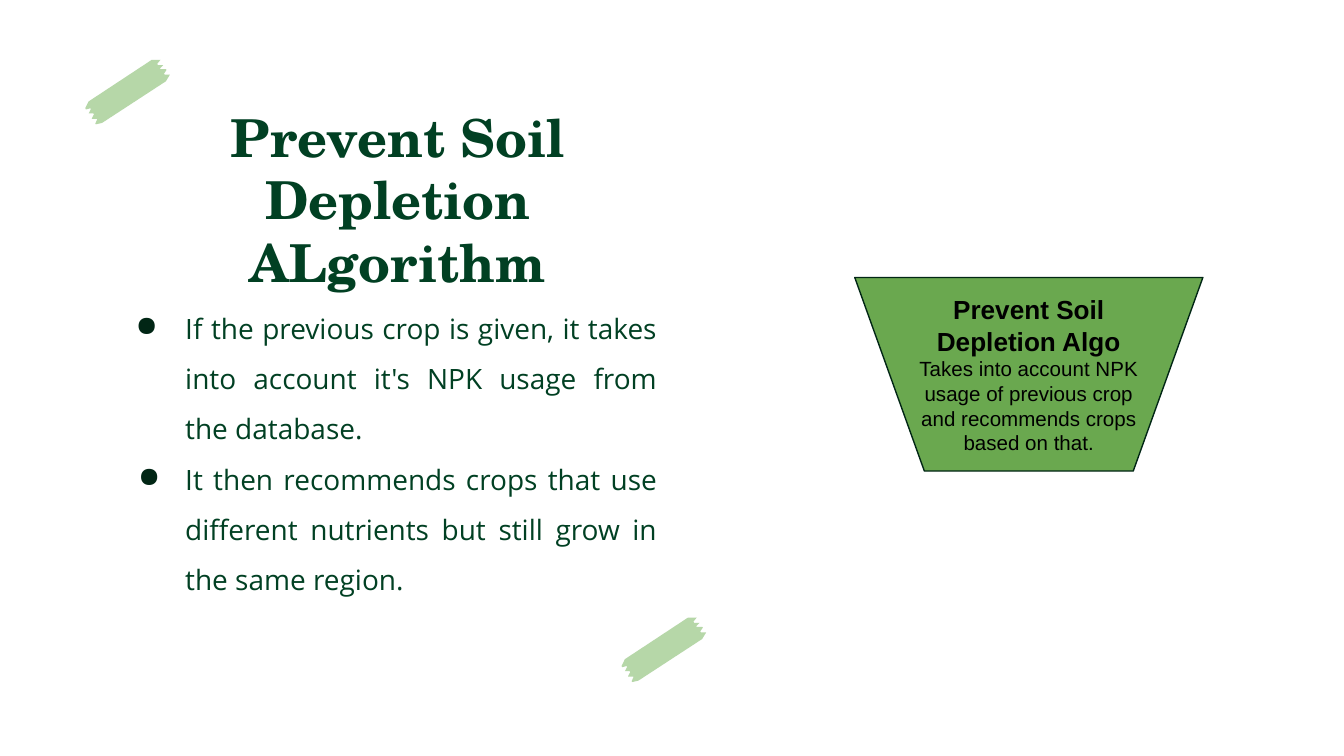
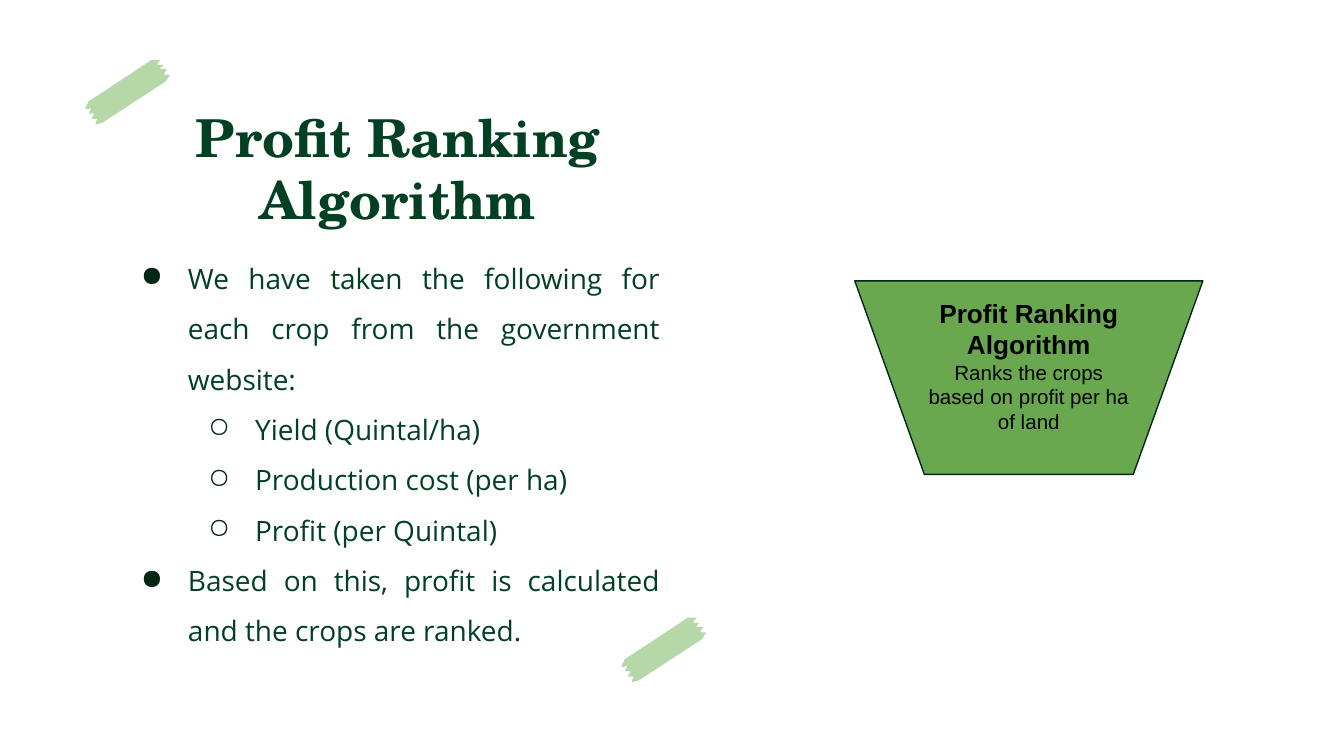
import pptx
import pptx.dml.color
import pptx.enum.shapes
import pptx.enum.text
import pptx.oxml.ns
import pptx.util
from lxml import etree

PX = 4572
PAGE_WIDTH, PAGE_HEIGHT = 2000, 1125
INSET = 20

FOREST = pptx.dml.color.RGBColor(0x01, 0x40, 0x23)
OUTLINE = pptx.dml.color.RGBColor(0x01, 0x26, 0x15)
LEAF = pptx.dml.color.RGBColor(0x6A, 0xA8, 0x4F)
TAPE = pptx.dml.color.RGBColor(0xB6, 0xD7, 0xA8)
BLACK = pptx.dml.color.RGBColor(0, 0, 0)

ALIGN = pptx.enum.text.PP_ALIGN
AUTO_SIZE = pptx.enum.text.MSO_AUTO_SIZE


def font_style(name, size, color, bold=False):
    return {"name": name, "size": pptx.util.Pt(size), "bold": bold, "color": color}


TITLE_STYLE = font_style("TeX Gyre Schola", 28, FOREST, True)
BODY_STYLE = font_style("Open Sans", 15, FOREST)
HEADING_STYLE = font_style("Arial", 14, BLACK, True)
CAPTION_STYLE = font_style("Arial", 11, BLACK)

TITLE_BOX = (160, 136, 864, 126)
TAPE_CORNERS = ((925, 919), (127, 89))
TAPE_OUTLINE = (
    (110, 0), (99, 0), (5, 62), (0, 72), (1, 74), (8, 72), (8, 74),
    (5, 80), (12, 80), (13, 81), (10, 87), (10, 88), (18, 88), (15, 95),
    (16, 96), (25, 94), (120, 32), (126, 22), (118, 22), (117, 21),
    (121, 15), (120, 14), (112, 14), (111, 13), (116, 8), (108, 8),
    (107, 6), (112, 0),
)
BULLETS = ("●", "○")
LEVEL_INDENT = 100
HANGING = -70

SLIDES = (
    {
        "title": "Prevent Soil Depletion ALgorithm",
        "body_box": (156, 418, 842, 470),
        "points": (
            (0, -74, "If the previous crop is given, it takes into account it's NPK usage from the database."),
            (0, HANGING, "It then recommends crops that use different nutrients but still grow in the same region."),
        ),
        "funnel_box": (1272, 413, 518, 288),
        "label_size": (366, 282),
        "heading": "Prevent Soil Depletion Algo",
        "caption": "Takes into account NPK usage of previous crop and recommends crops based on that.",
    },
    {
        "title": "Profit Ranking Algorithm",
        "body_box": (160, 344, 842, 470),
        "points": (
            (0, HANGING, "We have taken the following for each crop from the government website:"),
            (1, HANGING, "Yield (Quintal/ha)"),
            (1, HANGING, "Production cost (per ha)"),
            (1, HANGING, "Profit (per Quintal)"),
            (0, HANGING, "Based on this, profit is calculated and the crops are ranked."),
        ),
        "funnel_box": (1272, 418, 518, 288),
        "label_size": (338, 246),
        "heading": "Profit Ranking Algorithm",
        "caption": "Ranks the crops based on profit per ha of land",
    },
)


def to_emu(lengths):
    return [length * PX for length in lengths]


def add_text_frame(page, box, auto_size=AUTO_SIZE.NONE):
    frame = page.shapes.add_textbox(*to_emu(box)).text_frame
    settings = {
        "word_wrap": True,
        "auto_size": auto_size,
        "vertical_anchor": pptx.enum.text.MSO_ANCHOR.TOP,
    }
    for side in ("left", "top", "right", "bottom"):
        settings["margin_" + side] = INSET * PX
    for name, value in settings.items():
        setattr(frame, name, value)
    return frame


def write_para(frame, index, text, style, align):
    para = frame.add_paragraph() if index else frame.paragraphs[0]
    para.alignment = align
    span = para.add_run()
    span.text = text
    for name, value in style.items():
        if name == "color":
            span.font.color.rgb = value
        else:
            setattr(span.font, name, value)
    return para


def add_bullet(para, level, hanging):
    qn = pptx.oxml.ns.qn
    para.level = level
    para.line_spacing = 1.5
    properties = para._p.get_or_add_pPr()
    properties.set("marL", str((level + 1) * LEVEL_INDENT * PX))
    properties.set("indent", str(hanging * PX))
    color = etree.SubElement(properties, qn("a:buClr"))
    etree.SubElement(color, qn("a:srgbClr"), val=str(OUTLINE))
    etree.SubElement(properties, qn("a:buChar"), char=BULLETS[level])


def draw_title(page, box, text):
    write_para(add_text_frame(page, box), 0, text, TITLE_STYLE, ALIGN.CENTER)


def draw_body(page, box, points):
    frame = add_text_frame(page, box)
    for index, (level, hanging, text) in enumerate(points):
        para = write_para(frame, index, text, BODY_STYLE, ALIGN.JUSTIFY)
        add_bullet(para, level, hanging)


def draw_tape(page, corner):
    builder = page.shapes.build_freeform(*TAPE_OUTLINE[0], scale=PX)
    builder.add_line_segments(TAPE_OUTLINE[1:], close=True)
    tape = builder.convert_to_shape(*to_emu(corner))
    tape.shadow.inherit = False
    tape.fill.solid()
    tape.fill.fore_color.rgb = TAPE
    tape.line.fill.background()


def draw_funnel(page, box, label_size, heading, caption):
    left, top, width, height = box
    kind = pptx.enum.shapes.MSO_SHAPE.FLOWCHART_MANUAL_OPERATION
    funnel = page.shapes.add_shape(kind, *to_emu(box))
    funnel.shadow.inherit = False
    funnel.fill.solid()
    funnel.fill.fore_color.rgb = LEAF
    funnel.line.color.rgb = OUTLINE
    funnel.line.width = pptx.util.Pt(0.75)

    label_width, label_height = label_size
    label_box = (left + (width - label_width) // 2, top + 4, label_width, label_height)
    frame = add_text_frame(page, label_box, AUTO_SIZE.SHAPE_TO_FIT_TEXT)
    write_para(frame, 0, heading, HEADING_STYLE, ALIGN.CENTER)
    write_para(frame, 1, caption, CAPTION_STYLE, ALIGN.CENTER)


def draw_algorithm_slide(deck, content):
    page = deck.slides.add_slide(deck.slide_layouts[6])
    draw_title(page, TITLE_BOX, content["title"])
    draw_body(page, content["body_box"], content["points"])
    for corner in TAPE_CORNERS:
        draw_tape(page, corner)
    draw_funnel(page, content["funnel_box"], content["label_size"],
                content["heading"], content["caption"])


def main():
    deck = pptx.Presentation()
    deck.slide_width, deck.slide_height = to_emu((PAGE_WIDTH, PAGE_HEIGHT))
    for content in SLIDES:
        draw_algorithm_slide(deck, content)
    deck.save("out.pptx")


if __name__ == "__main__":
    main()
